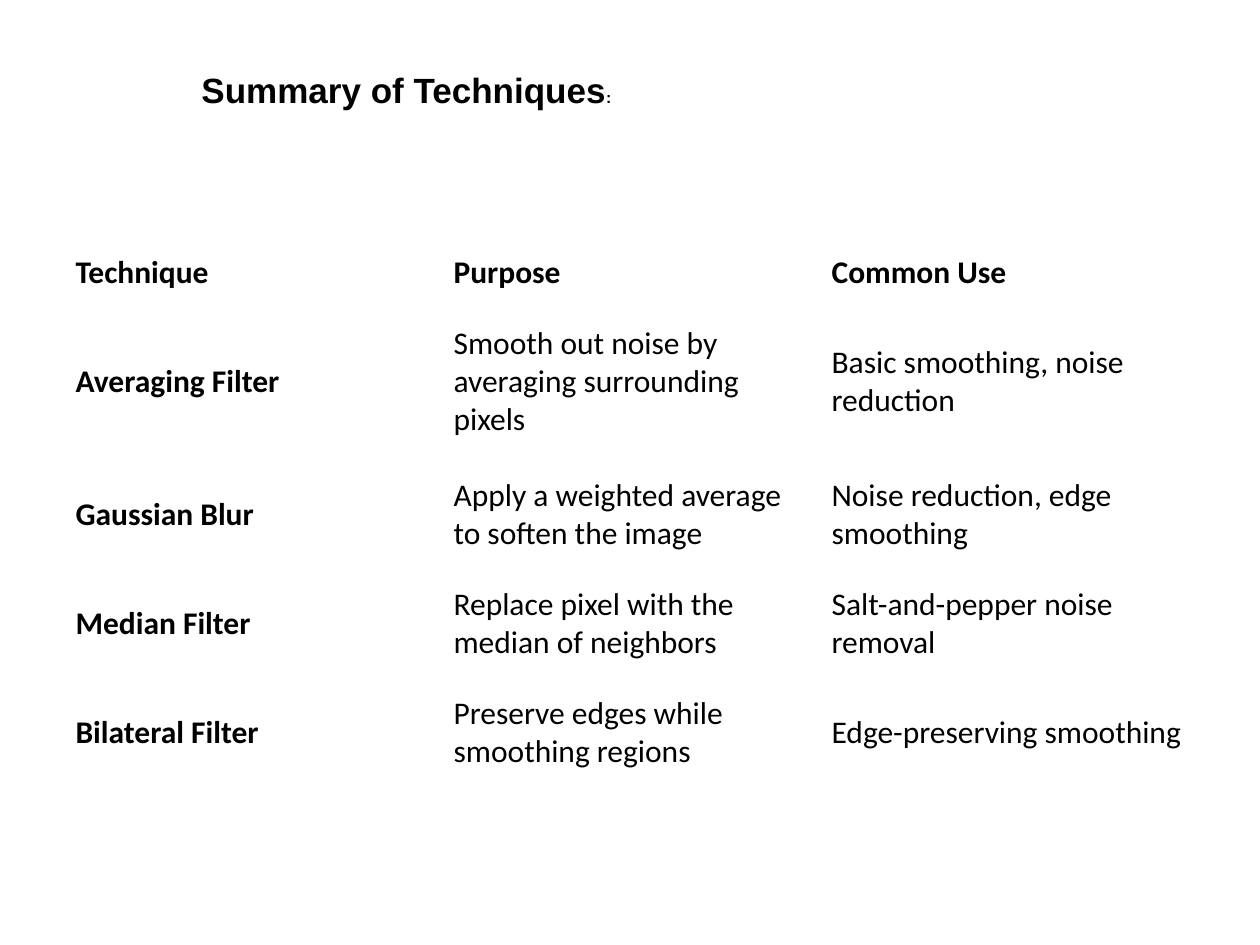
from dataclasses import dataclass

from pptx import Presentation
from pptx.dml.color import RGBColor
from pptx.enum.text import MSO_ANCHOR
from pptx.util import Pt


@dataclass(frozen=True)
class Theme:
    ink: RGBColor = RGBColor(0, 0, 0)
    title_font: str = "Arial"
    body_font: str = "Calibri"
    title_size: int = 20
    colon_size: int = 9
    body_size: int = 18


THEME = Theme()

ROWS = [
    ("Technique", "Purpose", "Common Use"),
    ("Averaging Filter", "Smooth out noise by averaging surrounding pixels",
     "Basic smoothing, noise reduction"),
    ("Gaussian Blur", "Apply a weighted average to soften the image",
     "Noise reduction, edge smoothing"),
    ("Median Filter", "Replace pixel with the median of neighbors",
     "Salt-and-pepper noise removal"),
    ("Bilateral Filter", "Preserve edges while smoothing regions",
     "Edge-preserving smoothing"),
]
ROW_HEIGHTS = [35.3, 89.3, 62.4, 62.4, 62.4]
COL_WIDTH = 216


def add_run(p, text, name, size, bold):
    r = p.add_run()
    r.text = text
    for key, value in {"name": name, "size": Pt(size), "bold": bold}.items():
        setattr(r.font, key, value)
    r.font.color.rgb = THEME.ink


def add_title(s):
    sp = s.shapes.add_textbox(Pt(108), Pt(33), Pt(250.5), Pt(53))
    tf = sp.text_frame
    settings = {"word_wrap": False, "margin_top": Pt(6),
                "vertical_anchor": MSO_ANCHOR.TOP}
    for key, value in settings.items():
        setattr(tf, key, value)
    p = tf.paragraphs[0]
    add_run(p, "Summary of Techniques", THEME.title_font, THEME.title_size, True)
    add_run(p, ":", THEME.title_font, THEME.colon_size, True)


def add_summary_table(s):
    cols = len(ROWS[0])
    table = s.shapes.add_table(len(ROWS), cols, Pt(36), Pt(138.2),
                               Pt(cols * COL_WIDTH), Pt(sum(ROW_HEIGHTS))).table
    table.horz_banding = False
    for column in table.columns:
        column.width = Pt(COL_WIDTH)
    for i, (texts, height) in enumerate(zip(ROWS, ROW_HEIGHTS)):
        table.rows[i].height = Pt(height)
        for j, text in enumerate(texts):
            cell = table.cell(i, j)
            cell.fill.background()
            cell.vertical_anchor = MSO_ANCHOR.MIDDLE
            # The header row and the technique names are bold
            add_run(cell.text_frame.paragraphs[0], text, THEME.body_font,
                    THEME.body_size, i == 0 or j == 0)


def main():
    prs = Presentation()
    prs.slide_width, prs.slide_height = Pt(720), Pt(540)
    s = prs.slides.add_slide(prs.slide_layouts[6])
    # Table of techniques, then the heading
    add_summary_table(s)
    add_title(s)
    prs.save("out.pptx")


if __name__ == "__main__":
    main()
